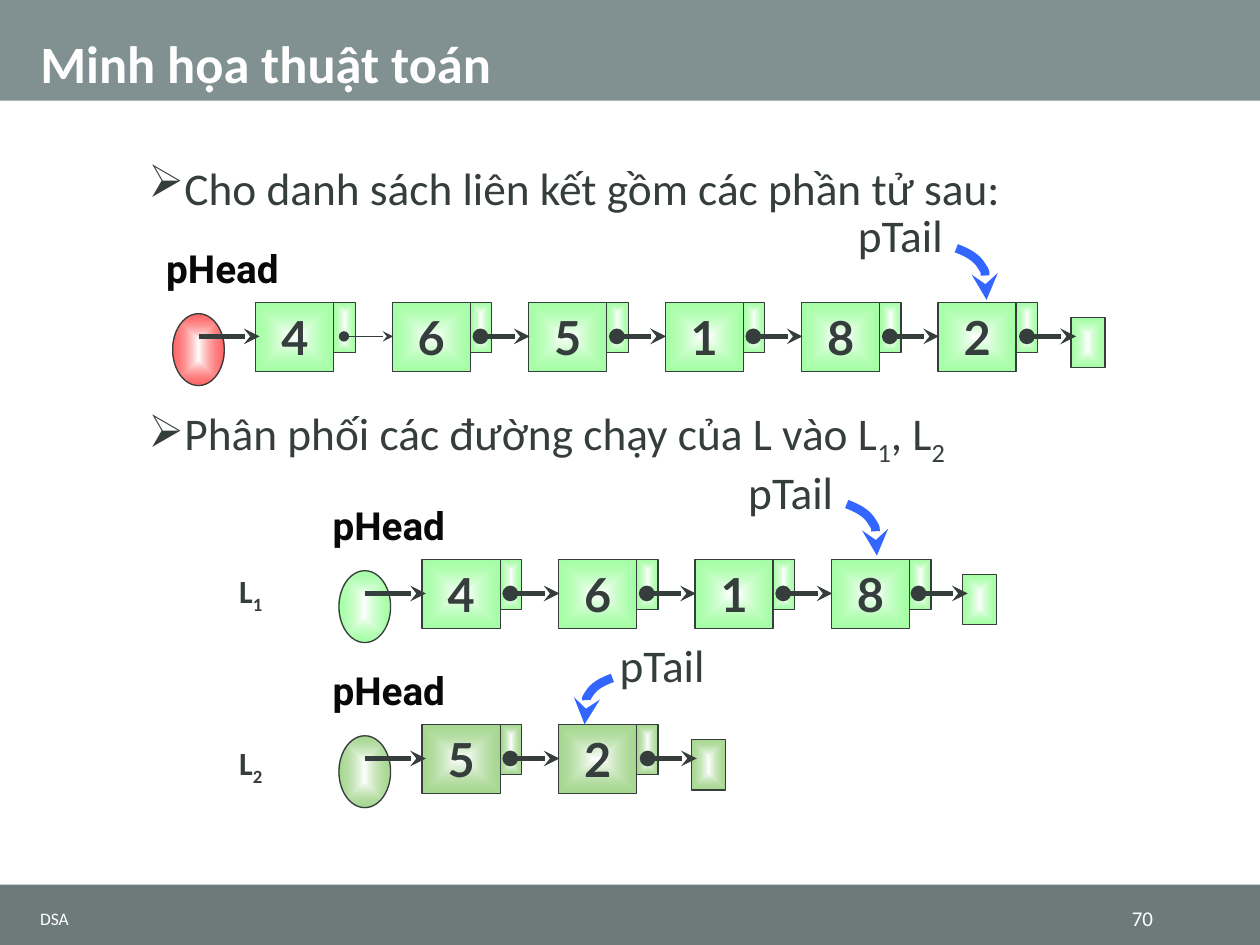
"""Build a slide showing how the runs of a linked list are dealt into two lists."""
from dataclasses import dataclass

from lxml import etree
from pptx import Presentation
from pptx.dml.color import RGBColor
from pptx.enum.shapes import MSO_CONNECTOR, MSO_SHAPE
from pptx.enum.text import MSO_ANCHOR, MSO_AUTO_SIZE, PP_ALIGN
from pptx.oxml import parse_xml
from pptx.oxml.ns import qn
from pptx.util import Inches, Pt

RECT, OVAL = MSO_SHAPE.RECTANGLE, MSO_SHAPE.OVAL
LINE = MSO_CONNECTOR.STRAIGHT
LEFT, MID, RIGHT = PP_ALIGN.LEFT, PP_ALIGN.CENTER, PP_ALIGN.RIGHT
TOP, CENTER, BOTTOM = MSO_ANCHOR.TOP, MSO_ANCHOR.MIDDLE, MSO_ANCHOR.BOTTOM
SPACE = "http://schemas.openxmlformats.org/drawingml/2006/main"


@dataclass(frozen=True)
class Theme:
    ink: str = "363D3D"
    black: str = "080808"
    white: str = "FFFFFF"
    band: str = "819090"
    foot: str = "6C7A7A"
    blue: str = "3366FF"
    red: str = "FF0000"
    green: str = "69FF69"
    olive: str = "6ABD45"
    sans: str = "Calibri"
    digit: str = "Lato"
    head: str = "Roboto"
    title: float = 30
    body: float = 25.9
    node: float = 26.8
    label: float = 22.1
    name: float = 18.5
    page: float = 12
    note: float = 10


theme = Theme()
deck = Presentation()
deck.slide_width, deck.slide_height = Inches(10), Inches(7.5)
slide = deck.slides.add_slide(deck.slide_layouts[5])
shapes = slide.shapes


def write(shape, text, size, face=theme.sans, color=theme.ink, bold=False,
          align=LEFT, anchor=TOP, inset=0.1, bullet=False):
    frame = shape.text_frame
    frame.word_wrap = True
    frame.auto_size = MSO_AUTO_SIZE.NONE
    frame.vertical_anchor = anchor
    frame.margin_left = frame.margin_right = Inches(inset)
    frame.margin_top = frame.margin_bottom = Inches(inset / 2)
    para = frame.paragraphs[0]
    para.alignment = align
    if bullet:
        props = para._p.get_or_add_pPr()
        props.set("marL", str(Inches(0.28)))
        props.set("indent", str(Inches(-0.28)))
        etree.SubElement(props, qn("a:buChar")).set("char", "➢")
    for n, part in enumerate(text.split("_")):
        run = para.add_run()
        run.text = part
        font = run.font
        font.size, font.name, font.bold = Pt(size), face, bold
        font.color.rgb = RGBColor.from_string(color)
        if n % 2:
            run._r.get_or_add_rPr().set("baseline", "-25000")


def glow(kind, x, y, wide, high, color):
    shape = shapes.add_shape(kind, Inches(x), Inches(y), Inches(wide), Inches(high))
    shape.shadow.inherit = False
    shape.line.color.rgb = RGBColor.from_string(theme.ink)
    shape.line.width = Pt(0.75)
    shape.fill.background()
    props = shape.element.spPr
    props.replace(props.find(qn("a:noFill")), parse_xml(
        f'<a:gradFill xmlns:a="{SPACE}"><a:gsLst>'
        f'<a:gs pos="0"><a:srgbClr val="{theme.white}"/></a:gs>'
        f'<a:gs pos="100000"><a:srgbClr val="{color}"><a:alpha val="60000"/></a:srgbClr></a:gs>'
        '</a:gsLst><a:path path="shape">'
        '<a:fillToRect l="50000" t="50000" r="50000" b="50000"/></a:path></a:gradFill>'))
    return shape


title = shapes.title
title.left, title.top, title.width, title.height = Inches(0.22), 0, Inches(9.57), Inches(0.8)
write(title, "Minh họa thuật toán", theme.title, color=theme.white, bold=True, anchor=BOTTOM)
title.text_frame.paragraphs[0].line_spacing = 0.9

for top, high, color in ((0, 0.8, theme.band), (7.02, 0.48, theme.foot)):
    band = shapes.add_shape(RECT, 0, Inches(top), Inches(10), Inches(high))
    band.shadow.inherit = False
    band.fill.solid()
    band.fill.fore_color.rgb = RGBColor.from_string(color)
    band.line.fill.background()
    title.element.addprevious(band.element)

pitch = 1.083
bend = ((0, 0), (0.08, 0.03), (0.16, 0.07), (0.2, 0.14), (0.24, 0.2), (0.24, 0.31), (0.24, 0.41))
chains = (
    ("465182", 2.03, 2.4, 8.5, theme.red, theme.green, (6.75, 1.64), (7.59, 1.97), (1, 1)),
    ("4618", 3.35, 4.44, 7.64, theme.green, theme.green, (5.88, 3.68), (6.72, 4), (1, 1)),
    ("52", 3.35, 5.75, 5.49, theme.olive, theme.olive, (4.86, 5.06), (4.86, 5.38), (-0.92, 0.9)),
)
labels = []
for digits, left, top, end, first, color, tail, start, scale in chains:
    glow(OVAL, left - 0.66, top + 0.09, 0.41, 0.57, first)
    glow(RECT, end, top + 0.12, 0.27, 0.4, color)
    arrows = [(left - 0.45, left + 0.03, 3, False)]
    for n, digit in enumerate(digits):
        x = left + n * pitch
        glow(RECT, x + 0.62, top, 0.17, 0.4, color)
        node = glow(RECT, x, top, 0.62, 0.55, color)
        write(node, digit, theme.node, theme.digit, bold=True, align=MID)
        if n < len(digits) - 1:
            thin = n == 0 and first == theme.red
            arrows.append((x + 0.7, x + 1.09, 0.75 if thin else 3, True))
    arrows.append((end - 0.35, end + 0.04, 3, True))

    for x, stop, width, dot in arrows:
        y = Inches(top + 0.27)
        arrow = shapes.add_connector(LINE, Inches(x), y, Inches(stop), y)
        arrow.line.color.rgb = RGBColor.from_string(theme.ink)
        arrow.line.width = Pt(width)
        edge = arrow.line._get_or_add_ln()
        if dot:
            etree.SubElement(edge, qn("a:headEnd")).set("type", "oval")
        etree.SubElement(edge, qn("a:tailEnd")).set("type", "stealth")
        etree.SubElement(arrow.element.spPr, qn("a:effectLst"))

    spots = [(Inches(start[0] + dx * scale[0]), Inches(start[1] + dy * scale[1]))
             for dx, dy in bend]
    pen = shapes.build_freeform(*spots[0])
    pen.add_line_segments(spots[1:], close=False)
    curve = pen.convert_to_shape()
    curve.shadow.inherit = False
    curve.fill.background()
    curve.line.color.rgb = RGBColor.from_string(theme.blue)
    curve.line.width = Pt(5)
    etree.SubElement(curve.line._get_or_add_ln(), qn("a:tailEnd")).set("type", "stealth")
    legs = list(curve.element.iter(qn("a:lnTo")))
    for n in (0, 3):
        cubic = etree.Element(qn("a:cubicBezTo"))
        legs[n].addprevious(cubic)
        for leg in legs[n:n + 3]:
            cubic.append(leg[0])
            leg.getparent().remove(leg)

    labels.append((left - 0.81, top - 0.46, 1.09, 0.42, "pHead", theme.label,
                   dict(face=theme.head, color=theme.black, bold=True, align=MID, inset=0)))
    labels.append((*tail, 0.79, 0.39, "pTail", theme.body, dict(align=MID, inset=0)))

labels += [
    (1.08, 1.22, 8, 0.99, "Cho danh sách liên kết gồm các phần tử sau:",
     theme.body, dict(bullet=True)),
    (1.08, 3.17, 8, 0.54, "Phân phối các đường chạy của L vào L_1_, L_2",
     theme.body, dict(bullet=True)),
    (1.8, 4.48, 0.66, 0.41, "L_1", theme.name, dict(bold=True)),
    (1.8, 5.85, 0.66, 0.41, "L_2", theme.name, dict(bold=True)),
    (0.22, 7.16, 6.95, 0.26, "DSA", theme.note, dict(color=theme.white, anchor=CENTER)),
    (8.47, 7.16, 0.78, 0.26, "70", theme.page,
     dict(color=theme.white, anchor=CENTER, align=RIGHT)),
]
for x, y, wide, high, text, size, style in labels:
    box = shapes.add_textbox(Inches(x), Inches(y), Inches(wide), Inches(high))
    write(box, text, size, **style)

deck.save("out.pptx")
